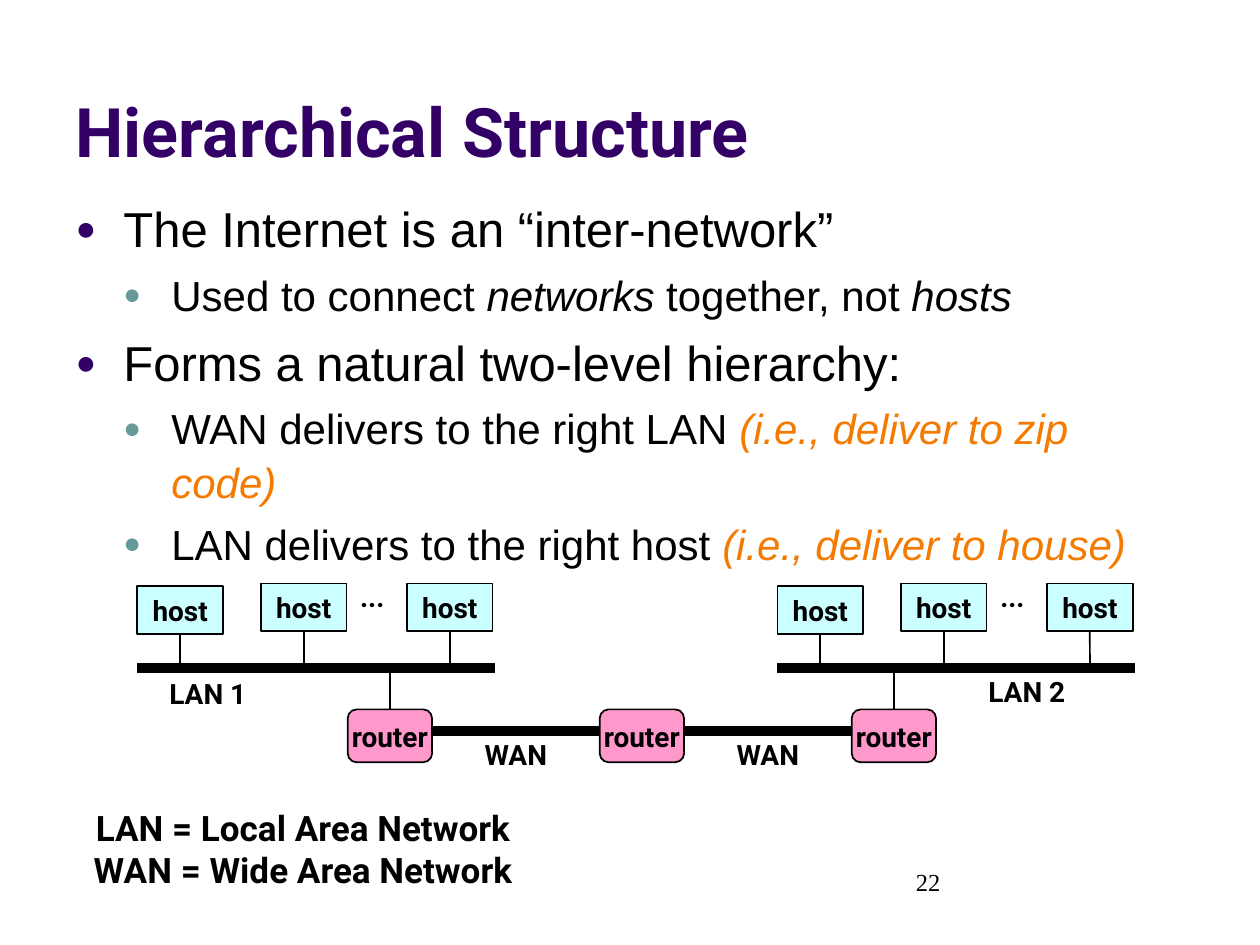
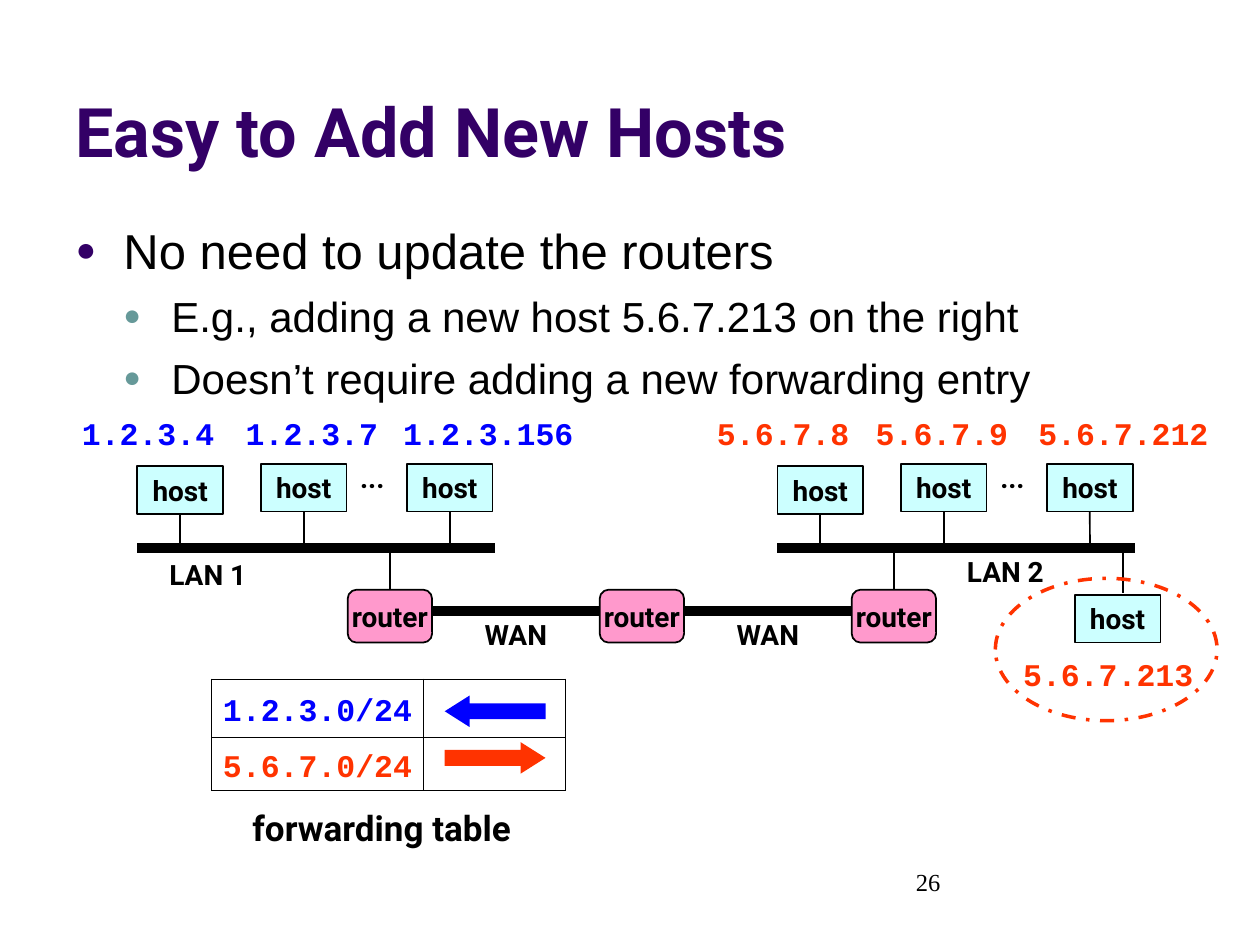
from lxml.etree import SubElement
from pptx import Presentation
from pptx.dml.color import RGBColor
from pptx.enum.dml import MSO_LINE_DASH_STYLE as Dash
from pptx.enum.shapes import MSO_CONNECTOR as Link, MSO_SHAPE as Preset
from pptx.enum.text import MSO_ANCHOR as Anchor, MSO_AUTO_SIZE as AutoSize, PP_ALIGN as Align
from pptx.oxml.ns import qn
from pptx.util import Inches, Pt

COLUMNS, ROWS = 100, 75
BLACK, BLUE, RED, ORANGE = "000000", "0000FF", "FF3300", "F47A00"
HOST_FILL, ROUTER_FILL = "CCFFFF", "FF99CC"

TITLE = dict(name="Roboto", size=Pt(39), bold=True, color="330066")
LABEL = dict(name="Roboto", size=Pt(16), bold=True, color=BLACK)
CAPTION = dict(LABEL, size=Pt(20))
NUMBER = dict(name="Times New Roman", size=Pt(14), color=BLACK)
ADDRESS = dict(name="Courier New", size=Pt(18), bold=True)
LEVELS = [
    dict(size=28, bullet="330066"),
    dict(size=24, bullet="669999"),
]

HOST_SIZE = (6.8, 3.8)
ROUTER_SIZE = (6.7, 4.2)


def paint(value):
    return RGBColor.from_string(value)


def format_font(font, style):
    for key, value in style.items():
        if key == "color":
            font.color.rgb = paint(value)
        else:
            setattr(font, key, value)


class NetworkDeck:
    """Holds the deck and the current page; lengths are grid columns and rows."""

    def __init__(self):
        self.deck = Presentation()
        self.deck.slide_width, self.deck.slide_height = Inches(10), Inches(7.5)
        self.column = self.deck.slide_width / COLUMNS
        self.row = self.deck.slide_height / ROWS
        self.page = None

    def place(self, *lengths):
        """Turn alternating columns and rows into slide lengths."""
        units = (self.column, self.row) * 2
        return [int(length * unit) for length, unit in zip(lengths, units)]

    def move(self, item, *area):
        for key, value in zip(("left", "top", "width", "height"), self.place(*area)):
            setattr(item, key, value)

    def start_page(self, title, number, body_top, items):
        self.page = self.deck.slides.add_slide(self.deck.slide_layouts[1])
        heading, body = self.page.placeholders
        self.move(heading, 5, 1.3, 90, 12.8)
        self.set_lines(heading, [title], TITLE, Align.LEFT, Anchor.BOTTOM)
        self.move(body, 5, body_top, 90, 48.2)
        self.set_bullets(body.text_frame, items)
        self.text(number, (71.7, 68.3, 23.3, 5), NUMBER, Align.LEFT, Anchor.TOP)

    def set_lines(self, box, lines, style, align=Align.CENTER, anchor=Anchor.MIDDLE, wrap=True):
        frame = box.text_frame
        settings = dict(auto_size=AutoSize.NONE, word_wrap=wrap, vertical_anchor=anchor)
        for key, value in settings.items():
            setattr(frame, key, value)
        for index, line in enumerate(lines):
            para = frame.add_paragraph() if index else frame.paragraphs[0]
            para.alignment = align
            span = para.add_run()
            span.text = line
            format_font(span.font, style)

    def set_bullets(self, frame, items):
        """Each item is a level and its spans of (text, format)."""
        frame.auto_size, frame.vertical_anchor = AutoSize.NONE, Anchor.TOP
        for index, (level, spans) in enumerate(items):
            para = frame.add_paragraph() if index else frame.paragraphs[0]
            look = LEVELS[level]
            para.level = level
            para.line_spacing = 1.06
            para.space_before = Pt(0.2 * look["size"] if index else 0)
            properties = para._p.get_or_add_pPr()
            properties.set("marL", str(Inches(0.38 * (level + 1))))
            properties.set("indent", str(-Inches(0.38)))
            color = SubElement(properties, qn("a:buClr"))
            SubElement(color, qn("a:srgbClr"), val=look["bullet"])
            SubElement(properties, qn("a:buSzPct"), val="70000")
            SubElement(properties, qn("a:buChar"), char="●")
            base = dict(name="Arial", size=Pt(look["size"]), color=BLACK)
            for text, extra in spans:
                span = para.add_run()
                span.text = text
                format_font(span.font, {**base, **extra})

    def text(self, text, area, style, align=Align.CENTER, anchor=Anchor.MIDDLE, wrap=False):
        box = self.page.shapes.add_textbox(*self.place(*area))
        self.set_lines(box, text.split("\n"), style, align, anchor, wrap)

    def shape(self, preset, area, fill=None, line=None, weight=1, dash=None, text=None):
        item = self.page.shapes.add_shape(preset, *self.place(*area))
        item.shadow.inherit = False
        if fill:
            item.fill.solid()
            item.fill.fore_color.rgb = paint(fill)
        else:
            item.fill.background()
        if line:
            item.line.color.rgb = paint(line)
            item.line.width = Pt(weight)
            item.line.dash_style = dash
        else:
            item.line.fill.background()
        if text:
            self.set_lines(item, [text], LABEL, wrap=False)
        return item

    def line(self, start, end, weight=1, begin=None, finish=None):
        """Draw a line; begin and finish are (shape, side) joints."""
        item = self.page.shapes.add_connector(Link.STRAIGHT, *self.place(*start, *end))
        item.line.color.rgb = paint(BLACK)
        item.line.width = Pt(weight)
        SubElement(item._element.spPr, qn("a:effectLst"))
        if begin:
            item.begin_connect(*begin)
        if finish:
            item.end_connect(*finish)

    def host(self, left, top):
        return self.shape(Preset.RECTANGLE, (left, top, *HOST_SIZE), HOST_FILL, BLACK, text="host")

    def lan(self, name, left, top, label_left, label_drop):
        wire = top + 6.7
        self.line((left, wire), (left + 28.4, wire), 6)
        for offset, drop in ((0, 0.2), (9.8, 0), (21.4, 0)):
            host = self.host(left + offset, top + drop)
            middle = left + offset + HOST_SIZE[0] / 2
            self.line((middle, top + drop + HOST_SIZE[1]), (middle, wire), begin=(host, 2))
        self.text(name, (label_left, top + label_drop, 8.4, 3.7), LABEL)
        self.text("...", (left + 16.7, top - 0.8, 3.9, 3.7), LABEL, wrap=True)

    def network(self, top, lan2_label):
        """Two LANs joined by three routers, with the hosts starting at top."""
        self.lan("LAN 1", 10.9, top, 12.3, 6.9)
        self.lan("LAN 2", 61.7, top, lan2_label, 6.7)
        router_top, wan = top + 10, top + 11.7
        lefts = [27.6 + 20 * index for index in range(3)]
        routers = []
        for left in lefts:
            router = self.shape(Preset.ROUNDED_RECTANGLE, (left, router_top, *ROUTER_SIZE),
                                ROUTER_FILL, BLACK, text="router")
            router.adjustments[0] = 0.17
            routers.append(router)
        for index in (0, 2):
            middle = lefts[index] + ROUTER_SIZE[0] / 2
            self.line((middle, top + 6.7), (middle, router_top), finish=(routers[index], 0))
        for left, following in zip(lefts, lefts[1:]):
            self.line((left + ROUTER_SIZE[0], wan), (following, wan), 6)
            self.text("WAN", (left + 9.7, wan, 7.3, 3.7), LABEL)

    def address(self, text, left, top, color):
        width = 1.5 * len(text) + 2
        self.text(text, (left, top, width, 4), dict(ADDRESS, color=color), anchor=Anchor.TOP)

    def forwarding_table(self, left, top, widths, heights, entries):
        """Each entry is a prefix, its colour and the arrow to its network."""
        frame = self.page.shapes.add_table(
            len(heights), len(widths), *self.place(left, top, sum(widths), sum(heights)))
        table = frame.table
        table.first_row = table.horz_banding = False
        for column, width in zip(table.columns, widths):
            column.width = int(width * self.column)
        for row, height in zip(table.rows, heights):
            row.height = int(height * self.row)
        for cell in table.iter_cells():
            properties = cell._tc.get_or_add_tcPr()
            for side in ("a:lnL", "a:lnR", "a:lnT", "a:lnB"):
                border = SubElement(properties, qn(side), w=str(Pt(0.75)))
                SubElement(SubElement(border, qn("a:solidFill")), qn("a:srgbClr"), val=BLACK)
            cell.fill.background()
            cell.vertical_anchor = Anchor.MIDDLE
            cell.margin_left = cell.margin_right = 0
            cell.margin_top, cell.margin_bottom = Inches(0.1), Inches(0.02)
        for index, (prefix, color, preset) in enumerate(entries):
            para = table.cell(index, 0).text_frame.paragraphs[0]
            para.alignment = Align.CENTER
            span = para.add_run()
            span.text = prefix
            format_font(span.font, dict(ADDRESS, color=color))
            arrow = self.shape(preset, (left + 18.5, top + 1.3 + 3.7 * index, 8, 2.5), color)
            arrow.adjustments[1] = 0.79

    def save(self):
        self.deck.save("out.pptx")


def add_hierarchy_page(board):
    italic = dict(italic=True)
    aside = dict(italic=True, color=ORANGE)
    board.start_page("Hierarchical Structure", "22", 15, [
        (0, [("The Internet is an “inter-network”", {})]),
        (1, [("Used to connect ", {}), ("networks", italic),
             (" together, not ", {}), ("hosts", italic)]),
        (0, [("Forms a natural two-level hierarchy:", {})]),
        (1, [("WAN delivers to the right LAN ", {}), ("(i.e., deliver to zip code)", aside)]),
        (1, [("LAN delivers to the right host ", {}), ("(i.e., deliver to house)", aside)]),
    ])
    board.network(46.3, 77.3)
    board.text("LAN = Local Area Network\nWAN = Wide Area Network",
               (5.5, 63.5, 37.1, 7.7), CAPTION, anchor=Anchor.TOP)


def add_new_host_page(board):
    board.start_page("Easy to Add New Hosts", "26", 16.7, [
        (0, [("No need to update the routers", {})]),
        (1, [("E.g., adding a new host 5.6.7.213 on the right", {})]),
        (1, [("Doesn’t require adding a new forwarding entry", {})]),
    ])
    board.network(36.8, 75.6)
    for text, left, color in (
        ("1.2.3.4", 5.5, BLUE), ("1.2.3.7", 18.5, BLUE), ("1.2.3.156", 31, BLUE),
        ("5.6.7.8", 55.9, RED), ("5.6.7.9", 68.5, RED), ("5.6.7.212", 81.4, RED),
    ):
        board.address(text, left, 32.4, color)
    board.forwarding_table(16.8, 53.9, (16.8, 11.3), (4.6, 4.2), [
        ("1.2.3.0/24", BLUE, Preset.LEFT_ARROW),
        ("5.6.7.0/24", RED, Preset.RIGHT_ARROW),
    ])
    board.text("forwarding table", (18.5, 63.5, 23.6, 4.3), CAPTION, anchor=Anchor.TOP)
    board.line((89.1, 43.8), (89.1, 47.1))
    board.host(85.3, 47.2)
    board.address("5.6.7.213", 80.2, 51.5, RED)
    board.shape(Preset.OVAL, (79, 45.9, 17.6, 11.3), line=RED, weight=2, dash=Dash.DASH_DOT)


def main():
    board = NetworkDeck()
    add_hierarchy_page(board)
    add_new_host_page(board)
    board.save()


if __name__ == "__main__":
    main()
